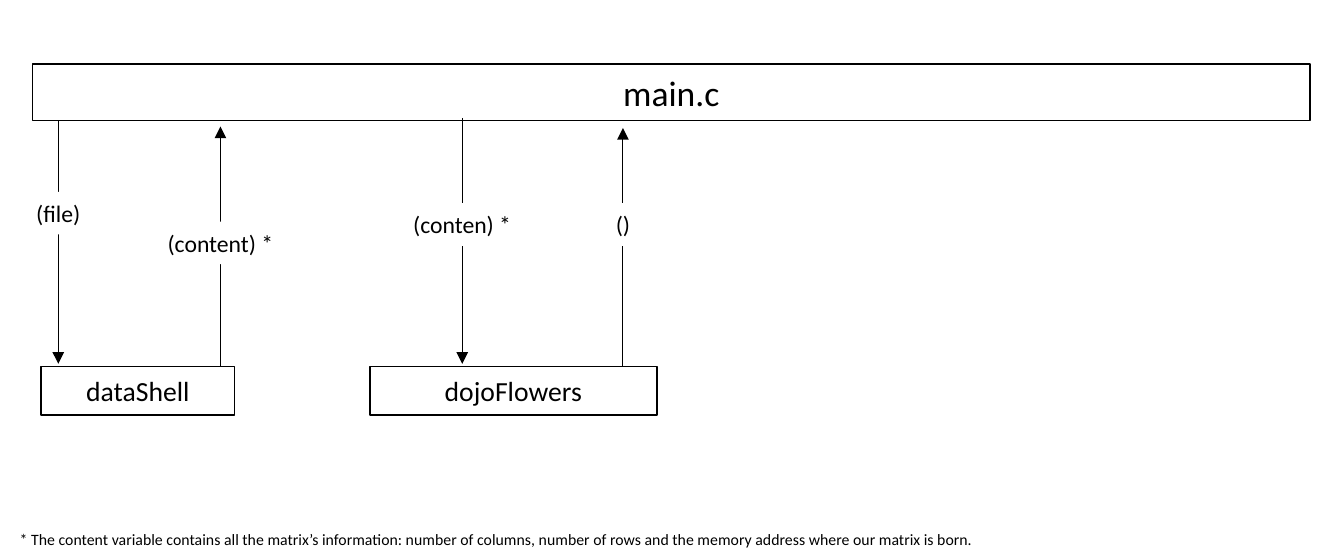
from dataclasses import dataclass

from lxml import etree
from pptx import Presentation
from pptx.dml.color import RGBColor
from pptx.enum.shapes import MSO_CONNECTOR, MSO_SHAPE
from pptx.enum.text import MSO_ANCHOR, MSO_AUTO_SIZE, PP_ALIGN
from pptx.oxml.ns import qn
from pptx.util import Inches, Pt

RECTANGLE = MSO_SHAPE.RECTANGLE
STRAIGHT = MSO_CONNECTOR.STRAIGHT
TOP, MIDDLE = MSO_ANCHOR.TOP, MSO_ANCHOR.MIDDLE
LEFT, CENTER = PP_ALIGN.LEFT, PP_ALIGN.CENTER
FIT_SHAPE = MSO_AUTO_SIZE.SHAPE_TO_FIT_TEXT


@dataclass(frozen=True)
class Theme:
    font: str = "Calibri"
    ink: RGBColor = RGBColor(0, 0, 0)
    paper: RGBColor = RGBColor(255, 255, 255)
    main_size: Pt = Pt(18)
    module_size: Pt = Pt(14)
    label_size: Pt = Pt(12)
    note_size: Pt = Pt(8)
    box_line: Pt = Pt(0.75)
    arrow_line: Pt = Pt(0.5)


THEME = Theme()
LABEL_HEIGHT = 0.3

# Calls: arrow x, start y, end y, label text, label top, label width
DATA_CALLS = [
    (0.41, 0.83, 2.56, "(file)", 1.35, 0.7),
    (1.55, 2.62, 0.89, "(content) *", 1.56, 1.12),
]
FLOWER_CALLS = [
    (3.25, 0.83, 2.56, "(conten) *", 1.43, 1.12),
    (4.38, 2.63, 0.9, "()", 1.43, 1.12),
]


def write_text(shape, text, size, align=CENTER, anchor=TOP, wrap=True):
    frame = shape.text_frame
    frame.word_wrap = wrap
    frame.auto_size = FIT_SHAPE
    frame.vertical_anchor = anchor
    paragraph = frame.paragraphs[0]
    paragraph.text = text
    paragraph.alignment = align
    paragraph.font.name = THEME.font
    paragraph.font.size = size
    paragraph.font.color.rgb = THEME.ink


def add_rectangle(slide, left, top, width, height):
    shape = slide.shapes.add_shape(
        RECTANGLE, Inches(left), Inches(top), Inches(width), Inches(height))
    shape.shadow.inherit = False
    shape.fill.solid()
    shape.fill.fore_color.rgb = THEME.paper
    return shape


def add_module(slide, left, top, width, height, name, size):
    shape = add_rectangle(slide, left, top, width, height)
    shape.line.color.rgb = THEME.ink
    shape.line.width = THEME.box_line
    write_text(shape, name, size, anchor=MIDDLE)


def add_label(slide, center, top, width, text):
    shape = add_rectangle(slide, center - width / 2, top, width, LABEL_HEIGHT)
    shape.line.fill.background()
    write_text(shape, text, THEME.label_size)


def add_arrow(slide, x, start, end):
    arrow = slide.shapes.add_connector(
        STRAIGHT, Inches(x), Inches(start), Inches(x), Inches(end))
    arrow.line.color.rgb = THEME.ink
    arrow.line.width = THEME.arrow_line
    properties = arrow.element.spPr
    line = properties.find(qn("a:ln"))
    etree.SubElement(line, qn("a:tailEnd"), type="triangle")
    etree.SubElement(properties, qn("a:effectLst"))


def add_calls(slide, calls):
    for x, start, end, text, label_top, label_width in calls:
        add_arrow(slide, x, start, end)
        add_label(slide, x, label_top, label_width, text)


def add_note(slide, text):
    box = slide.shapes.add_textbox(
        Inches(0.04), Inches(3.68), Inches(6.97), Inches(0.24))
    write_text(box, text, THEME.note_size, align=LEFT, wrap=False)


def main():
    presentation = Presentation()
    presentation.slide_width = Inches(9.45)
    presentation.slide_height = Inches(3.94)
    slide = presentation.slides.add_slide(presentation.slide_layouts[6])

    # File reading calls, then the main program over their ends
    add_calls(slide, DATA_CALLS)
    add_module(slide, 0.23, 0.45, 8.98, 0.4, "main.c", THEME.main_size)

    # Flower calls
    add_calls(slide, FLOWER_CALLS)

    # Called modules
    add_module(slide, 0.29, 2.58, 1.36, 0.34, "dataShell", THEME.module_size)
    add_module(slide, 2.6, 2.58, 2.02, 0.34, "dojoFlowers", THEME.module_size)

    # Footnote
    add_note(slide, "* The content variable contains all the matrix’s information: "
                    "number of columns, number of rows and the memory address "
                    "where our matrix is born.")

    presentation.save("out.pptx")


if __name__ == "__main__":
    main()
